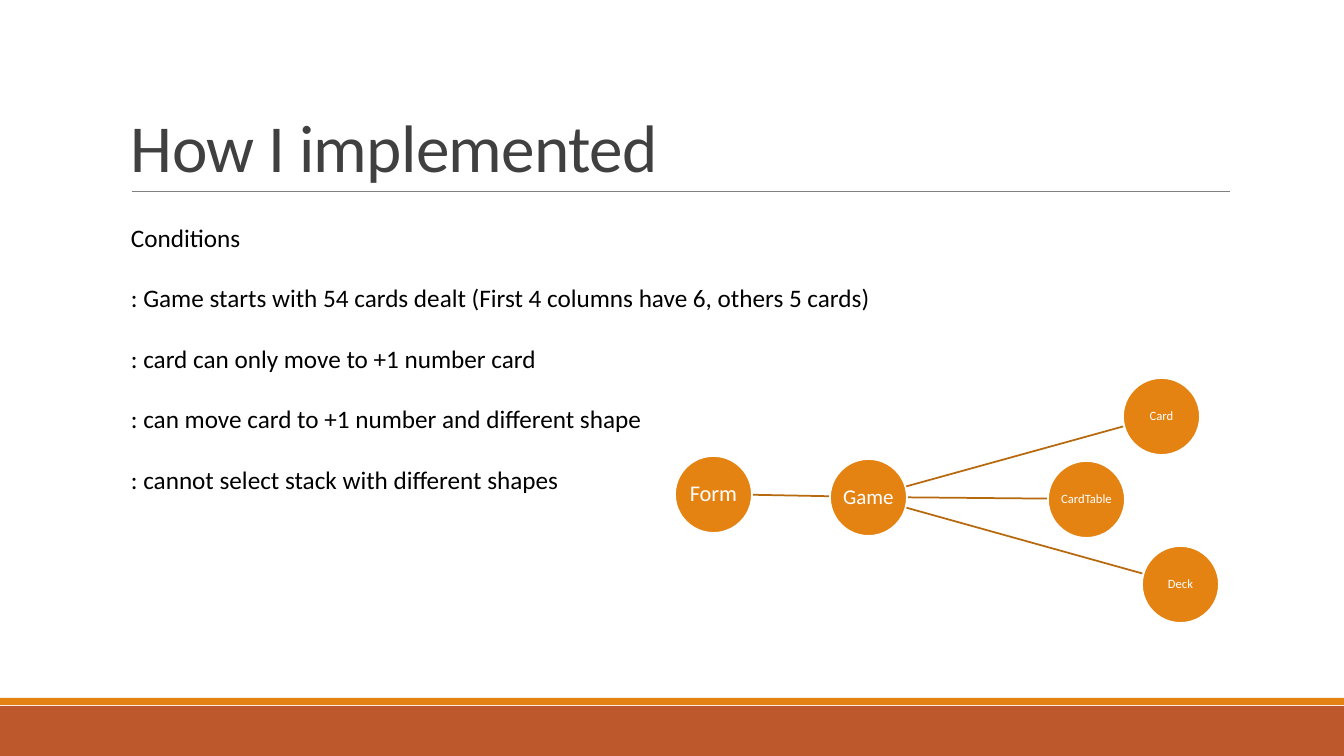
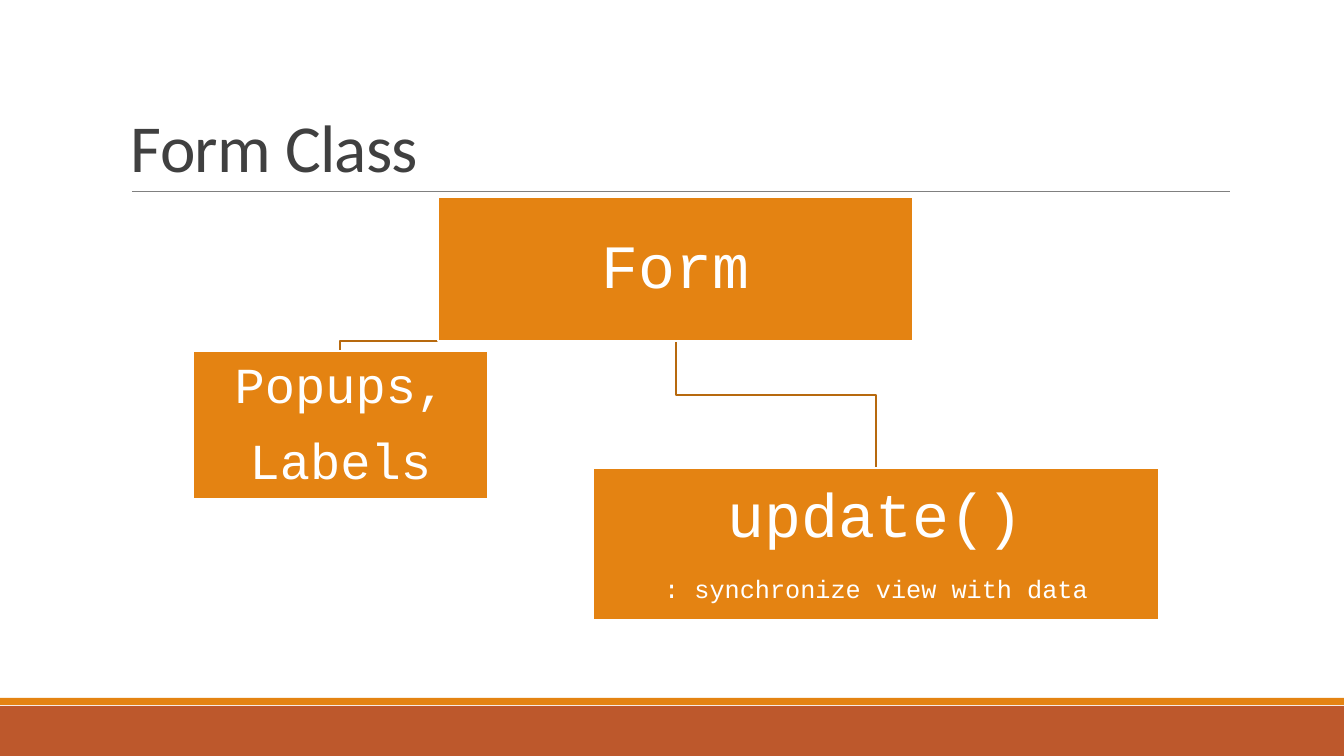
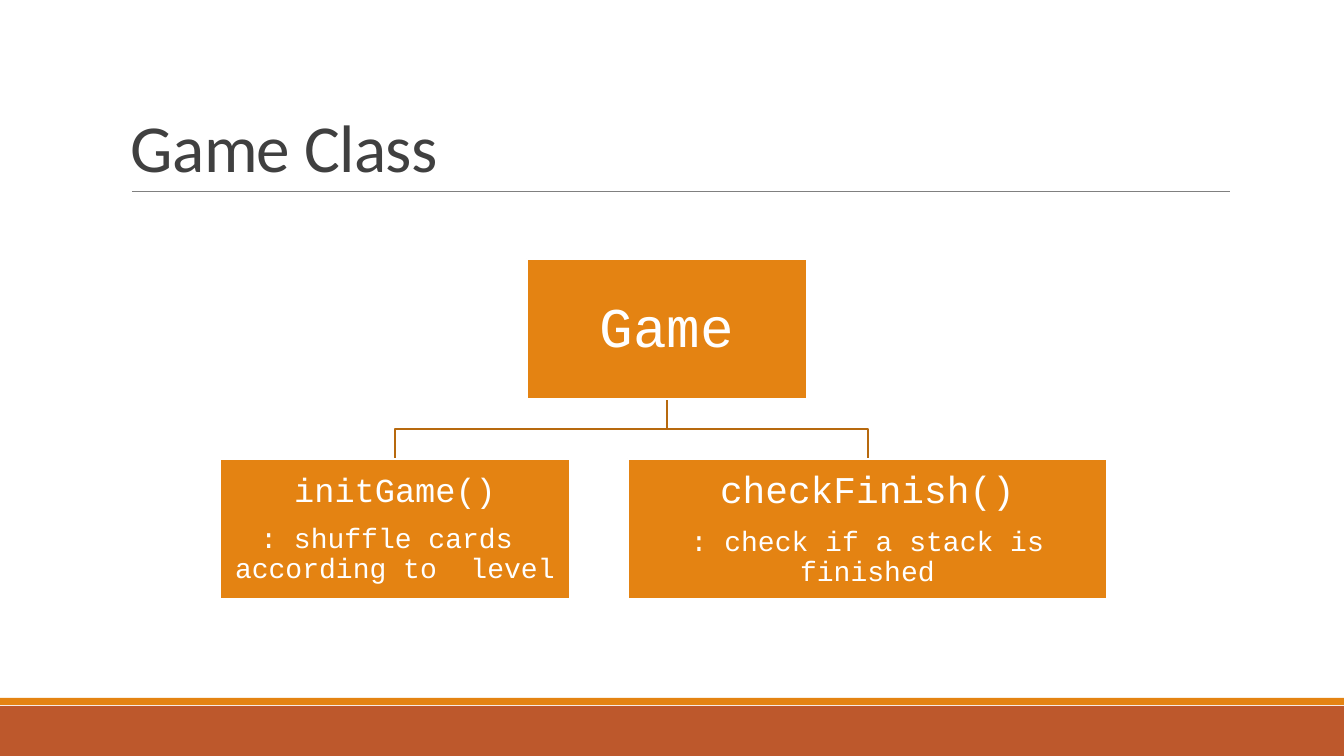
"""Build three slides on the class structure of a card game."""
from dataclasses import dataclass
from math import hypot

from lxml.etree import SubElement
from pptx import Presentation
from pptx.dml.color import RGBColor
from pptx.enum.shapes import MSO_CONNECTOR as Connector
from pptx.enum.shapes import MSO_SHAPE as Preset
from pptx.enum.text import MSO_ANCHOR as Anchor
from pptx.enum.text import PP_ALIGN as Align
from pptx.oxml.ns import qn
from pptx.shapes.autoshape import Shape
from pptx.slide import Slide
from pptx.text.text import TextFrame
from pptx.util import Emu, Pt

SLIDE_WIDTH, SLIDE_HEIGHT = 1344, 756
SCALE = 12192000 / SLIDE_WIDTH

WHITE = RGBColor(0xFF, 0xFF, 0xFF)
BLACK = RGBColor(0x00, 0x00, 0x00)
ORANGE = RGBColor(0xE4, 0x83, 0x12)
RUST = RGBColor(0xBD, 0x58, 0x2C)
BRANCH = RGBColor(0xB7, 0x69, 0x0E)
GRAY = RGBColor(0x80, 0x80, 0x80)
TITLE_COLOR = RGBColor(0x40, 0x40, 0x40)

BODY_FONT, CODE_FONT = "Calibri", "Courier New"
CIRCLE_SIZE = 77
CIRCLE_REACH = 39
LINE_WIDTH = 1.25

CONDITIONS = (
    "Conditions",
    ": Game starts with 54 cards dealt (First 4 columns have 6, others 5 cards)",
    ": card can only move to +1 number card",
    ": can move card to +1 number and different shape",
    ": cannot select stack with different shapes",
)


@dataclass(frozen=True)
class Line:
    text: str
    size: int


@dataclass(frozen=True)
class Box:
    left: int
    top: int
    width: int
    height: int

    @property
    def center(self) -> float:
        return self.left + self.width / 2

    @property
    def bottom(self) -> int:
        return self.top + self.height


@dataclass(frozen=True)
class Circle:
    label: Line
    x: int
    y: int


@dataclass(frozen=True)
class Node:
    box: Box
    lines: tuple[Line, ...]


@dataclass(frozen=True)
class Branch:
    child: Node
    bus: int


def px(length: float) -> Emu:
    return Emu(round(length * SCALE))


def place(box: Box) -> tuple[Emu, Emu, Emu, Emu]:
    return px(box.left), px(box.top), px(box.width), px(box.height)


def add_block(slide: Slide, preset: Preset, box: Box, fill: RGBColor) -> Shape:
    shape = slide.shapes.add_shape(preset, *place(box))
    shape.shadow.inherit = False
    shape.fill.solid()
    shape.fill.fore_color.rgb = fill
    shape.line.fill.background()
    return shape


def add_line(slide: Slide, start: tuple[float, float], end: tuple[float, float],
             color: RGBColor, width: float) -> None:
    line = slide.shapes.add_connector(
        Connector.STRAIGHT, px(start[0]), px(start[1]), px(end[0]), px(end[1]))
    line.line.color.rgb = color
    line.line.width = Pt(width)
    SubElement(line._element.spPr, qn("a:effectLst"))


def add_text_box(slide: Slide, box: Box) -> TextFrame:
    frame = slide.shapes.add_textbox(*place(box)).text_frame
    frame.word_wrap = True
    return frame


def add_themed_slide(presentation: Presentation, title: str) -> Slide:
    slide = presentation.slides.add_slide(presentation.slide_layouts[6])
    add_block(slide, Preset.RECTANGLE, Box(0, 706, SLIDE_WIDTH, 50), RUST)
    add_block(slide, Preset.RECTANGLE, Box(0, 698, SLIDE_WIDTH, 7), ORANGE)
    add_line(slide, (132, 191), (1230, 191), GRAY, 0.5)
    frame = add_text_box(slide, Box(121, 31, 1109, 160))
    frame.vertical_anchor = Anchor.BOTTOM
    paragraph = frame.paragraphs[0]
    run = paragraph.add_run()
    run.text = title
    run.font._element.set("spc", "-50")
    paragraph.line_spacing = 0.85
    paragraph.font.name = BODY_FONT
    paragraph.font.size = Pt(48)
    paragraph.font.color.rgb = TITLE_COLOR
    return slide


def add_labelled(slide: Slide, preset: Preset, box: Box, lines: tuple[Line, ...],
                 font: str, inset: int) -> None:
    shape = add_block(slide, preset, box, ORANGE)
    shape.line.color.rgb = WHITE
    shape.line.width = Pt(LINE_WIDTH)
    frame = shape.text_frame
    frame.word_wrap = True
    frame.vertical_anchor = Anchor.MIDDLE
    frame.margin_left = frame.margin_right = px(inset)
    frame.margin_top = frame.margin_bottom = px(inset)
    for index, line in enumerate(lines):
        paragraph = frame.add_paragraph() if index else frame.paragraphs[0]
        paragraph.text = line.text
        paragraph.alignment = Align.CENTER
        paragraph.line_spacing = 0.9
        paragraph.space_after = Pt(round(line.size * 0.42, 1))
        paragraph.font.name = font
        paragraph.font.size = Pt(line.size)
        paragraph.font.color.rgb = WHITE


def add_circle(slide: Slide, circle: Circle) -> None:
    radius = CIRCLE_SIZE // 2
    box = Box(circle.x - radius, circle.y - radius, CIRCLE_SIZE, CIRCLE_SIZE)
    add_labelled(slide, Preset.OVAL, box, (circle.label,), BODY_FONT, 1)


def join_circles(slide: Slide, first: Circle, second: Circle) -> None:
    run, rise = second.x - first.x, second.y - first.y
    share = CIRCLE_REACH / hypot(run, rise)
    start = first.x + run * share, first.y + rise * share
    end = second.x - run * share, second.y - rise * share
    add_line(slide, start, end, BRANCH, LINE_WIDTH)


def add_branch(slide: Slide, parent: Box, child: Box, bus: int) -> None:
    builder = slide.shapes.build_freeform(parent.center, parent.bottom, SCALE)
    builder.add_line_segments(
        [(parent.center, bus), (child.center, bus), (child.center, child.top)],
        close=False)
    shape = builder.convert_to_shape()
    shape.shadow.inherit = False
    shape.fill.background()
    shape.line.color.rgb = BRANCH
    shape.line.width = Pt(LINE_WIDTH)


def add_tree(slide: Slide, root: Node, branches: tuple[Branch, ...]) -> None:
    for branch in branches:
        add_branch(slide, root.box, branch.child.box, branch.bus)
    for node in (root, *(branch.child for branch in branches)):
        add_labelled(slide, Preset.RECTANGLE, node.box, node.lines, CODE_FONT, 2)


def add_implementation_slide(presentation: Presentation) -> None:
    slide = add_themed_slide(presentation, "How I implemented")
    game = Circle(Line("Game", 15), 868, 497)
    neighbours = (
        Circle(Line("Card", 9), 1161, 416),
        Circle(Line("CardTable", 9), 1086, 499),
        Circle(Line("Deck", 9), 1180, 584),
        Circle(Line("Form", 16), 713, 494),
    )
    for neighbour in neighbours:
        join_circles(slide, game, neighbour)
    for circle in (game, *neighbours):
        add_circle(slide, circle)
    frame = add_text_box(slide, Box(121, 217, 913, 285))
    for index, condition in enumerate(CONDITIONS):
        paragraph = frame.add_paragraph() if index else frame.paragraphs[0]
        paragraph.text = condition
        if index:
            paragraph.space_before = Pt(21.6)
        paragraph.font.name = BODY_FONT
        paragraph.font.size = Pt(18)
        paragraph.font.color.rgb = BLACK


def add_form_slide(presentation: Presentation) -> None:
    slide = add_themed_slide(presentation, "Form Class")
    form = Node(Box(438, 197, 475, 144), (Line("Form", 44),))
    update = Node(Box(593, 468, 566, 152),
                  (Line("update()", 44), Line(": synchronize view with data", 18)))
    popups = Node(Box(193, 351, 295, 148), (Line("Popups,", 36), Line("Labels", 36)))
    add_tree(slide, form, (Branch(popups, form.box.bottom), Branch(update, 395)))


def add_game_slide(presentation: Presentation) -> None:
    slide = add_themed_slide(presentation, "Game Class")
    game = Node(Box(527, 259, 280, 140), (Line("Game", 40),))
    start = Node(Box(220, 459, 350, 140),
                 (Line("initGame()", 24), Line(": shuffle cards  according to  level", 20)))
    finish = Node(Box(628, 459, 479, 140),
                  (Line("checkFinish()", 27), Line(": check if a stack is finished", 20)))
    add_tree(slide, game, (Branch(finish, 429), Branch(start, 429)))


def main() -> None:
    presentation = Presentation()
    presentation.slide_width = px(SLIDE_WIDTH)
    presentation.slide_height = px(SLIDE_HEIGHT)
    add_implementation_slide(presentation)
    add_form_slide(presentation)
    add_game_slide(presentation)
    presentation.save("out.pptx")


if __name__ == "__main__":
    main()
